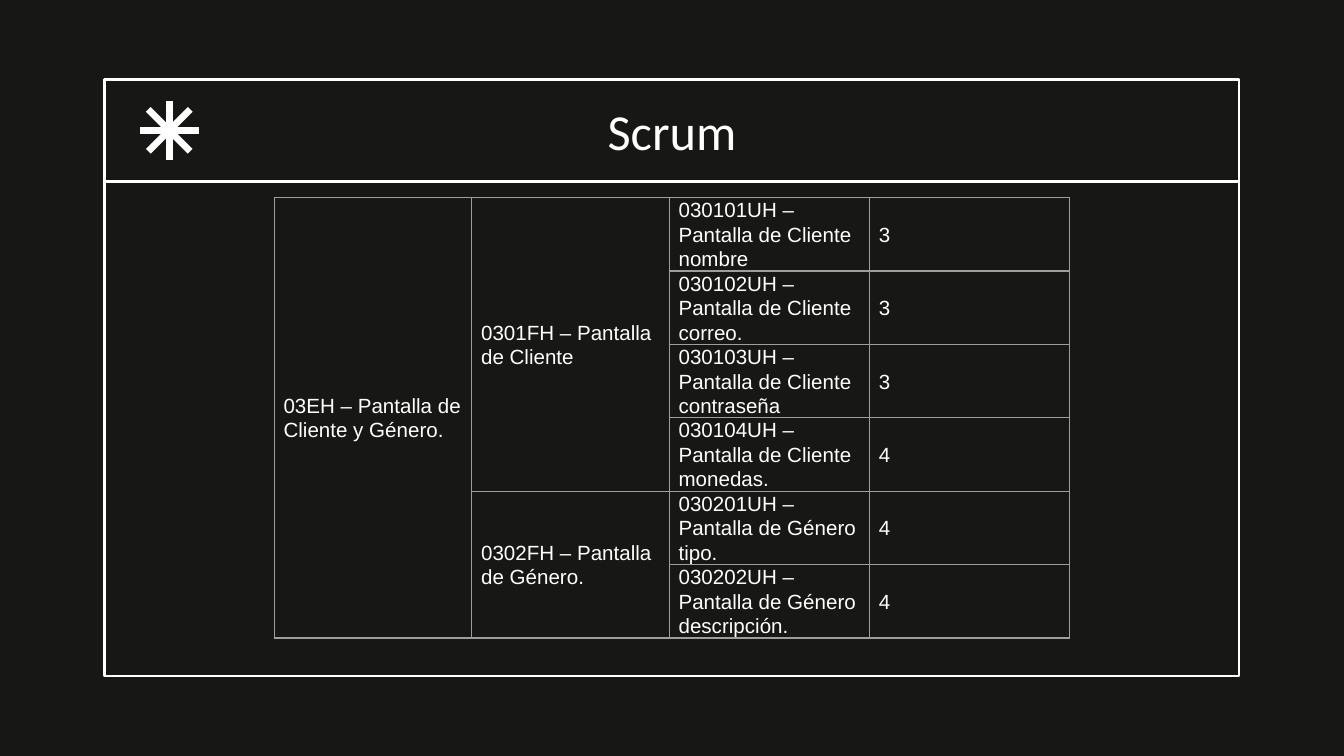
from math import cos, pi, sin

from lxml.etree import SubElement
from pptx import Presentation
from pptx.dml.color import RGBColor
from pptx.enum.shapes import MSO_CONNECTOR as Connector, MSO_SHAPE as Shape
from pptx.enum.text import MSO_ANCHOR as Anchor, MSO_AUTO_SIZE as AutoSize, PP_ALIGN as Align
from pptx.oxml.ns import qn
from pptx.util import Inches, Pt

TITLE = "Scrum"
EPIC = "03EH – Pantalla de Cliente y Género."
FEATURES = [
    ("0301FH – Pantalla de Cliente", [
        ("030101UH – Pantalla de Cliente nombre", 3),
        ("030102UH – Pantalla de Cliente correo.", 3),
        ("030103UH – Pantalla de Cliente contraseña", 3),
        ("030104UH – Pantalla de Cliente monedas.", 4),
    ]),
    ("0302FH – Pantalla de Género.", [
        ("030201UH – Pantalla de Género tipo.", 4),
        ("030202UH – Pantalla de Género descripción.", 4),
    ]),
]

THEME = {
    "background": "171715", "ink": "FFFFFF", "grid": "9E9E9E",
    "title_font": "Calibri", "body_font": "Arial",
    "title_size": 27, "body_size": 11,
    "line": 1.5, "grid_line": 0.75,
}

SLIDE_WIDTH = 10
SLIDE_HEIGHT = SLIDE_WIDTH * 9 / 16
FRAME_LEFT, FRAME_TOP, FRAME_WIDTH, FRAME_HEIGHT = 0.78, 0.59, 8.44, 4.44
HEADER_BOTTOM = 1.35
STAR_X, STAR_Y, STAR_LENGTH, STAR_THICKNESS = 1.26, 0.97, 0.44, 0.05
TABLE_LEFT, TABLE_TOP, ROW_HEIGHT = 2.04, 1.47, 0.54
COLUMN_WIDTHS = [1.47, 1.47, 1.49, 1.49]


def color(name):
    return RGBColor.from_string(THEME[name])


def write(frame, text, font="body_font", size="body_size", align=Align.LEFT,
          spacing=None, after=0):
    frame.word_wrap = True
    paragraph = frame.paragraphs[0]
    paragraph.alignment = align
    paragraph.line_spacing = spacing
    paragraph.space_before, paragraph.space_after = Pt(0), Pt(after)
    run = paragraph.add_run()
    run.text = text
    run.font.name = THEME[font]
    run.font.size = Pt(THEME[size])
    run.font.color.rgb = color("ink")


def style_line(line):
    line.color.rgb = color("ink")
    line.width = Pt(THEME["line"])


def add_title(slide):
    title = slide.shapes.title
    title.left, title.top = Inches(FRAME_LEFT), Inches(0.71)
    title.width, title.height = Inches(FRAME_WIDTH), Inches(0.52)
    frame = title.text_frame
    frame.auto_size = AutoSize.NONE
    frame.vertical_anchor = Anchor.MIDDLE
    frame.margin_left = frame.margin_right = Inches(0.1)
    frame.margin_top = frame.margin_bottom = Inches(0.1)
    write(frame, TITLE, font="title_font", size="title_size", align=Align.CENTER)


def add_frame(slide):
    frame = slide.shapes.add_shape(
        Shape.RECTANGLE, Inches(FRAME_LEFT), Inches(FRAME_TOP),
        Inches(FRAME_WIDTH), Inches(FRAME_HEIGHT))
    frame.shadow.inherit = False
    frame.fill.background()
    style_line(frame.line)

    divider = slide.shapes.add_connector(
        Connector.STRAIGHT, Inches(FRAME_LEFT), Inches(HEADER_BOTTOM),
        Inches(FRAME_LEFT + FRAME_WIDTH), Inches(HEADER_BOTTOM))
    style_line(divider.line)
    SubElement(divider.element.spPr, qn("a:effectLst"))


def add_star(slide):
    """Four equal bars turned about one centre in steps of 45 degrees."""
    star = slide.shapes.add_group_shape()
    half_length, half_thickness = STAR_LENGTH / 2, STAR_THICKNESS / 2
    corners = [(-half_length, -half_thickness), (half_length, -half_thickness),
               (half_length, half_thickness), (-half_length, half_thickness)]
    for step in range(4):
        c, s = cos(step * pi / 4), sin(step * pi / 4)
        points = [(Inches(STAR_X + x * c - y * s), Inches(STAR_Y + x * s + y * c))
                  for x, y in corners]
        builder = star.shapes.build_freeform(*points[0])
        builder.add_line_segments(points[1:], close=True)
        bar = builder.convert_to_shape()
        bar.shadow.inherit = False
        bar.fill.solid()
        bar.fill.fore_color.rgb = color("ink")
        bar.line.fill.background()


def style_cell(cell):
    cell.vertical_anchor = Anchor.MIDDLE
    cell.margin_left = cell.margin_right = Inches(0.07)
    cell.margin_top = cell.margin_bottom = 0
    properties = cell._tc.get_or_add_tcPr()
    for side in ("lnL", "lnR", "lnT", "lnB"):
        border = SubElement(properties, qn(f"a:{side}"), w=str(Pt(THEME["grid_line"])))
        fill = SubElement(border, qn("a:solidFill"))
        SubElement(fill, qn("a:srgbClr"), val=THEME["grid"])
    cell.fill.background()


def add_backlog(slide):
    row_count = sum(len(stories) for _, stories in FEATURES)
    table = slide.shapes.add_table(
        row_count, len(COLUMN_WIDTHS), Inches(TABLE_LEFT), Inches(TABLE_TOP),
        Inches(sum(COLUMN_WIDTHS)), Inches(ROW_HEIGHT * row_count)).table
    table.first_row = table.horz_banding = False
    for column, width in zip(table.columns, COLUMN_WIDTHS):
        column.width = Inches(width)
    for row in table.rows:
        row.height = Inches(ROW_HEIGHT)
    for cell in table.iter_cells():
        style_cell(cell)

    def fill_cell(row, column, text, span=1):
        cell = table.cell(row, column)
        if span > 1:
            cell.merge(table.cell(row + span - 1, column))
        write(cell.text_frame, text, spacing=1.07, after=8)

    fill_cell(0, 0, EPIC, span=row_count)
    row = 0
    for feature, stories in FEATURES:
        fill_cell(row, 1, feature, span=len(stories))
        for story, points in stories:
            fill_cell(row, 2, story)
            fill_cell(row, 3, str(points))
            row += 1


def main():
    deck = Presentation()
    deck.slide_width, deck.slide_height = Inches(SLIDE_WIDTH), Inches(SLIDE_HEIGHT)
    slide = deck.slides.add_slide(deck.slide_layouts[5])
    slide.background.fill.solid()
    slide.background.fill.fore_color.rgb = color("background")
    add_frame(slide)
    add_title(slide)
    add_star(slide)
    add_backlog(slide)
    deck.save("out.pptx")


if __name__ == "__main__":
    main()
